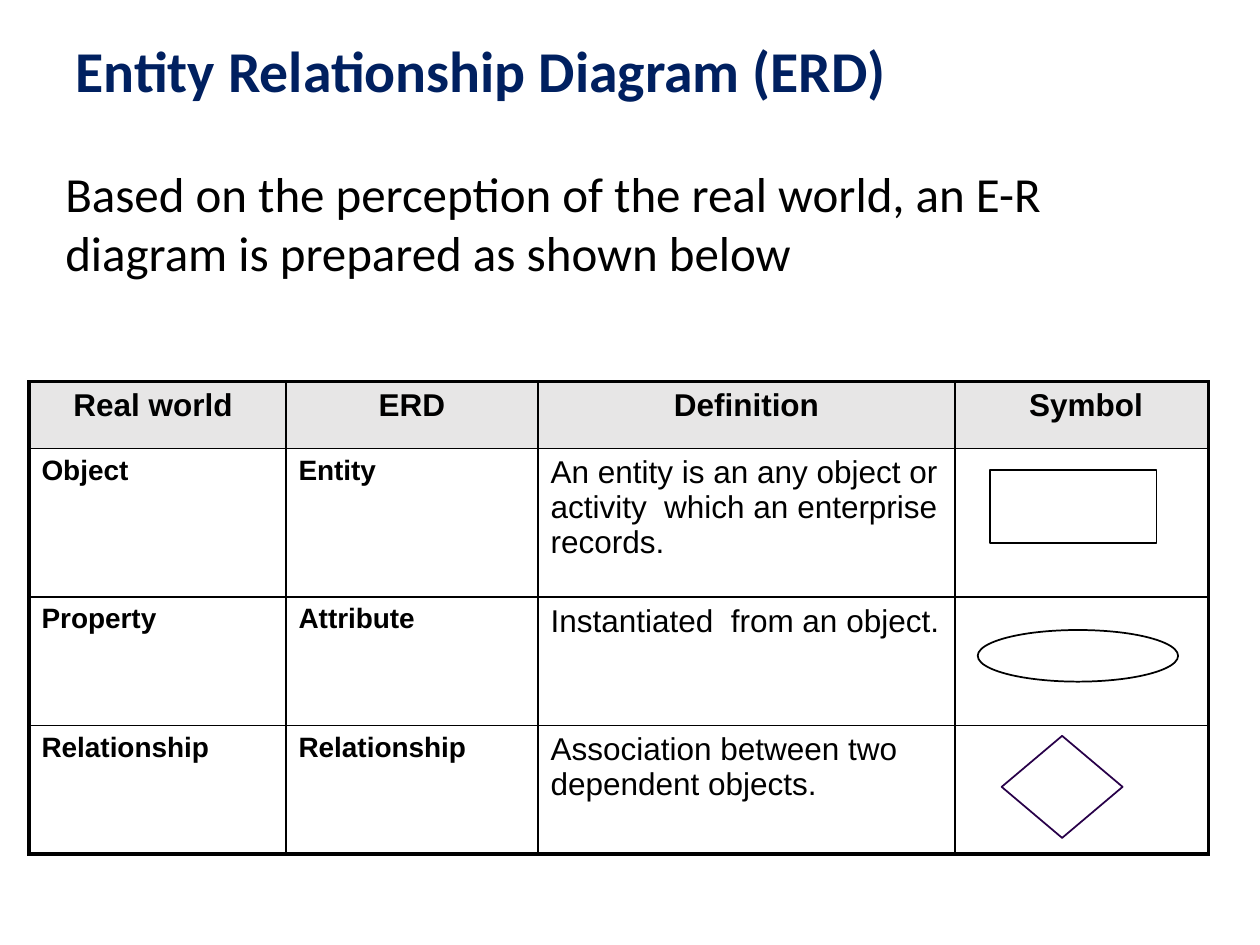
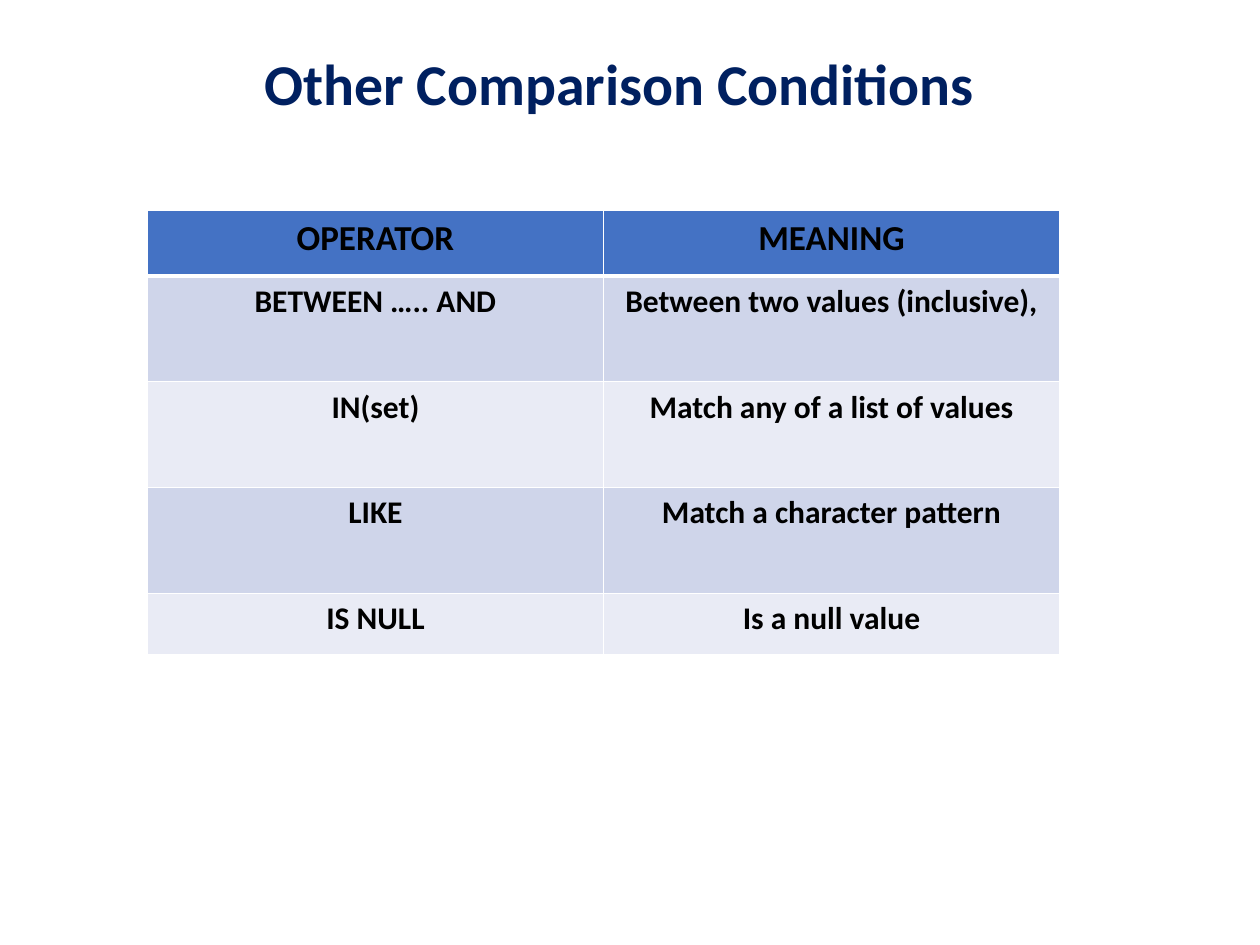
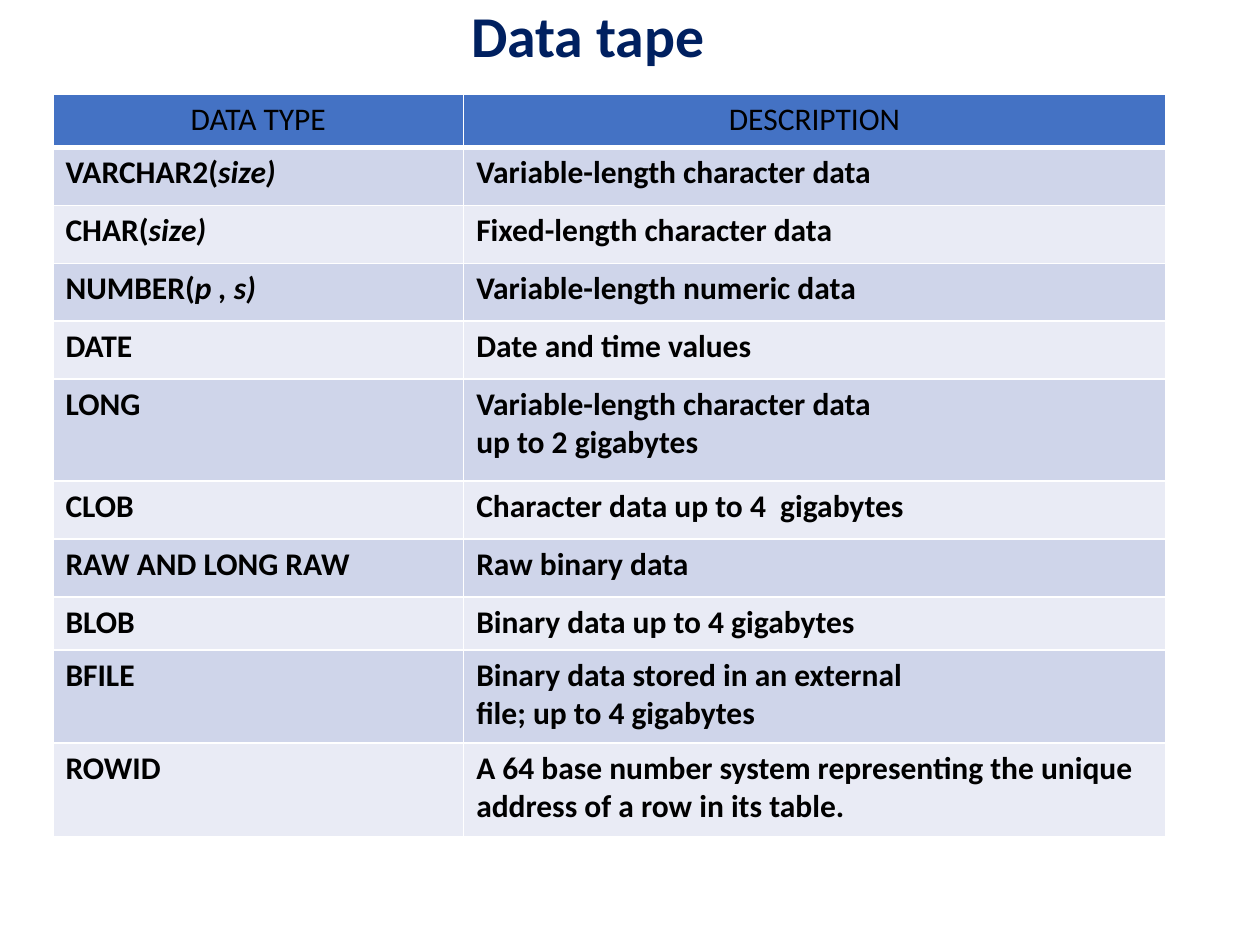
from dataclasses import dataclass

from lxml import etree
from pptx import Presentation
from pptx.dml import color
from pptx.enum import shapes, text
from pptx.oxml import ns
from pptx.util import Inches, Pt

BLACK, WHITE, NAVY = "000000", "FFFFFF", "002060"
GREY, BLUE, BANDS = "E7E6E6", "4472C4", ("CFD5EA", "E9EBF5")
VIOLET = "280049"
LEFT, CENTER = text.PP_ALIGN.LEFT, text.PP_ALIGN.CENTER

CONCEPTS = [
    ("Real world ", "ERD", "Definition", " Symbol"),
    ("Object ", "Entity ",
     "An entity is an any object or activity  which an enterprise records.", ""),
    ("Property", "Attribute", "Instantiated  from an object.", ""),
    ("Relationship", "Relationship",
     "Association between two dependent objects.", ""),
]

OPERATORS = [
    ("OPERATOR", "MEANING"),
    ("BETWEEN ….. AND", "Between two values (inclusive),"),
    ("IN(set)", "Match any of a list of values"),
    ("LIKE", "Match a character pattern"),
    ("IS NULL", "Is a null value"),
]

DATA_TYPES = [
    ("DATA TYPE", "DESCRIPTION"),
    (("VARCHAR2(", "size)"), "Variable-length character data"),
    (("CHAR(", "size)"), "Fixed-length character data"),
    (("NUMBER(", "p , s)"), "Variable-length numeric data"),
    ("DATE", "Date and time values"),
    ("LONG", "Variable-length character data\nup to 2 gigabytes"),
    ("CLOB", "Character data up to 4  gigabytes"),
    ("RAW AND LONG RAW", "Raw binary data"),
    ("BLOB", "Binary data up to 4 gigabytes"),
    ("BFILE", "Binary data stored in an external\nfile; up to 4 gigabytes"),
    ("ROWID", "A 64 base number system representing the unique "
              "address of a row in its table."),
]


@dataclass
class Look:
    size: float
    bold: bool
    align: text.PP_ALIGN
    fill: str
    borders: dict
    line: str = WHITE
    font: str = "Calibri"


def rgb(value):
    return color.RGBColor.from_string(value)


def add_span(para, words, size, font="Calibri", ink=BLACK, bold=False,
             italic=False):
    span = para.add_run()
    span.text = words
    span.font.name = font
    span.font.size = Pt(size)
    span.font.bold = bold
    span.font.italic = italic
    span.font.color.rgb = rgb(ink)


def add_page(deck, title, left, top, width, height, align=CENTER):
    page = deck.slides.add_slide(deck.slide_layouts[5])
    box = page.shapes.title
    box.left, box.top = Inches(left), Inches(top)
    box.width, box.height = Inches(width), Inches(height)
    frame = box.text_frame
    frame.auto_size = text.MSO_AUTO_SIZE.NONE
    frame.vertical_anchor = text.MSO_ANCHOR.MIDDLE
    para = frame.paragraphs[0]
    para.alignment = align
    para.line_spacing = 0.9
    add_span(para, title, 33, ink=NAVY, bold=True)
    return page


def add_note(page, words, left, top, width, height):
    box = page.shapes.add_textbox(Inches(left), Inches(top),
                                  Inches(width), Inches(height))
    box.text_frame.word_wrap = True
    add_span(box.text_frame.paragraphs[0], words, 28)


def add_symbol(page, kind, left, top, width, height, line=BLACK):
    symbol = page.shapes.add_shape(kind, Inches(left), Inches(top),
                                   Inches(width), Inches(height))
    symbol.shadow.inherit = False
    symbol.fill.solid()
    symbol.fill.fore_color.rgb = rgb(WHITE)
    symbol.line.color.rgb = rgb(line)
    symbol.line.width = Pt(1)


def set_borders(cell, widths, ink):
    props = cell._tc.get_or_add_tcPr()
    for side in "LRTB":
        line = etree.SubElement(props, ns.qn("a:ln" + side),
                                w=str(Pt(widths.get(side, 1))))
        fill = etree.SubElement(line, ns.qn("a:solidFill"))
        etree.SubElement(fill, ns.qn("a:srgbClr"), val=ink)


def fill_cell(cell, content, look):
    set_borders(cell, look.borders, look.line)
    if look.fill:
        cell.fill.solid()
        cell.fill.fore_color.rgb = rgb(look.fill)
    else:
        cell.fill.background()
    if not content:
        return
    spans = content if isinstance(content, tuple) else (content,)
    para = cell.text_frame.paragraphs[0]
    para.alignment = look.align
    for index, words in enumerate(spans):
        for number, piece in enumerate(words.split("\n")):
            if number:
                para = cell.text_frame.add_paragraph()
                para.alignment = look.align
            add_span(para, piece, look.size, look.font, bold=look.bold,
                     italic=index > 0)


def add_grid(page, rows, left, top, widths, heights, look_at):
    frame = page.shapes.add_table(
        len(rows), len(widths), Inches(left), Inches(top),
        Inches(sum(widths)), Inches(sum(heights)))
    table = frame.table
    table.first_row = table.horz_banding = False
    for column, width in zip(table.columns, widths):
        column.width = Inches(width)
    for row, height in zip(table.rows, heights):
        row.height = Inches(height)
    for r, row in enumerate(rows):
        for c, content in enumerate(row):
            fill_cell(table.cell(r, c), content, look_at(r, c))


def concept_look(row, column):
    edges = {"L": column == 0, "R": column == 3, "T": row == 0, "B": row == 3}
    borders = {side: 2.25 for side, outer in edges.items() if outer}
    header = row == 0
    return Look(size=18 if header or column == 2 else 16,
                bold=header or column < 2,
                align=CENTER if header else LEFT,
                fill=GREY if header else "",
                borders=borders, line=BLACK, font="Arial")


def operator_look(row, column):
    if row == 0:
        return Look(20, True, CENTER, BLUE, {"B": 3})
    return Look(18, True, CENTER, BANDS[(row - 1) % 2], {})


def data_type_look(row, column):
    if row == 0:
        return Look(18, False, CENTER, BLUE, {"B": 3})
    return Look(18, True, LEFT, BANDS[(row - 1) % 2], {})


def build_diagram_page(deck):
    page = add_page(deck, "Entity Relationship Diagram (ERD)",
                    0.5, 0, 8.83, 1.17, LEFT)
    add_note(page, "Based on the perception of the real world, an E-R "
                   "diagram is prepared as shown below", 0.42, 1.25, 8.83, 1.04)
    add_grid(page, CONCEPTS, 0.23, 3.03, [2.04, 2, 3.31, 2.01],
             [0.53, 1.18, 1.02, 1.02], concept_look)
    kinds = shapes.MSO_SHAPE
    add_symbol(page, kinds.RECTANGLE, 7.86, 3.73, 1.32, 0.58)
    add_symbol(page, kinds.OVAL, 7.76, 5, 1.59, 0.41)
    add_symbol(page, kinds.DIAMOND, 7.95, 5.84, 0.96, 0.81, VIOLET)


def build_operator_page(deck):
    page = add_page(deck, "Other Comparison Conditions",
                    0.83, 0.25, 8.17, 0.87)
    add_grid(page, OPERATORS, 1.17, 1.67, [3.62] * 2,
             [0.52] + [0.84] * 3 + [0.49], operator_look)


def build_data_type_page(deck):
    page = add_page(deck, "Data tape", 0.58, 0, 8.17, 0.62)
    add_grid(page, DATA_TYPES, 0.42, 0.75, [3.26, 5.57],
             [0.42] + [0.46] * 4 + [0.81, 0.46, 0.46, 0.42, 0.74, 0.74],
             data_type_look)


def main():
    deck = Presentation()
    deck.slide_width, deck.slide_height = Inches(10), Inches(7.5)
    build_diagram_page(deck)
    build_operator_page(deck)
    build_data_type_page(deck)
    deck.save("out.pptx")


main()
